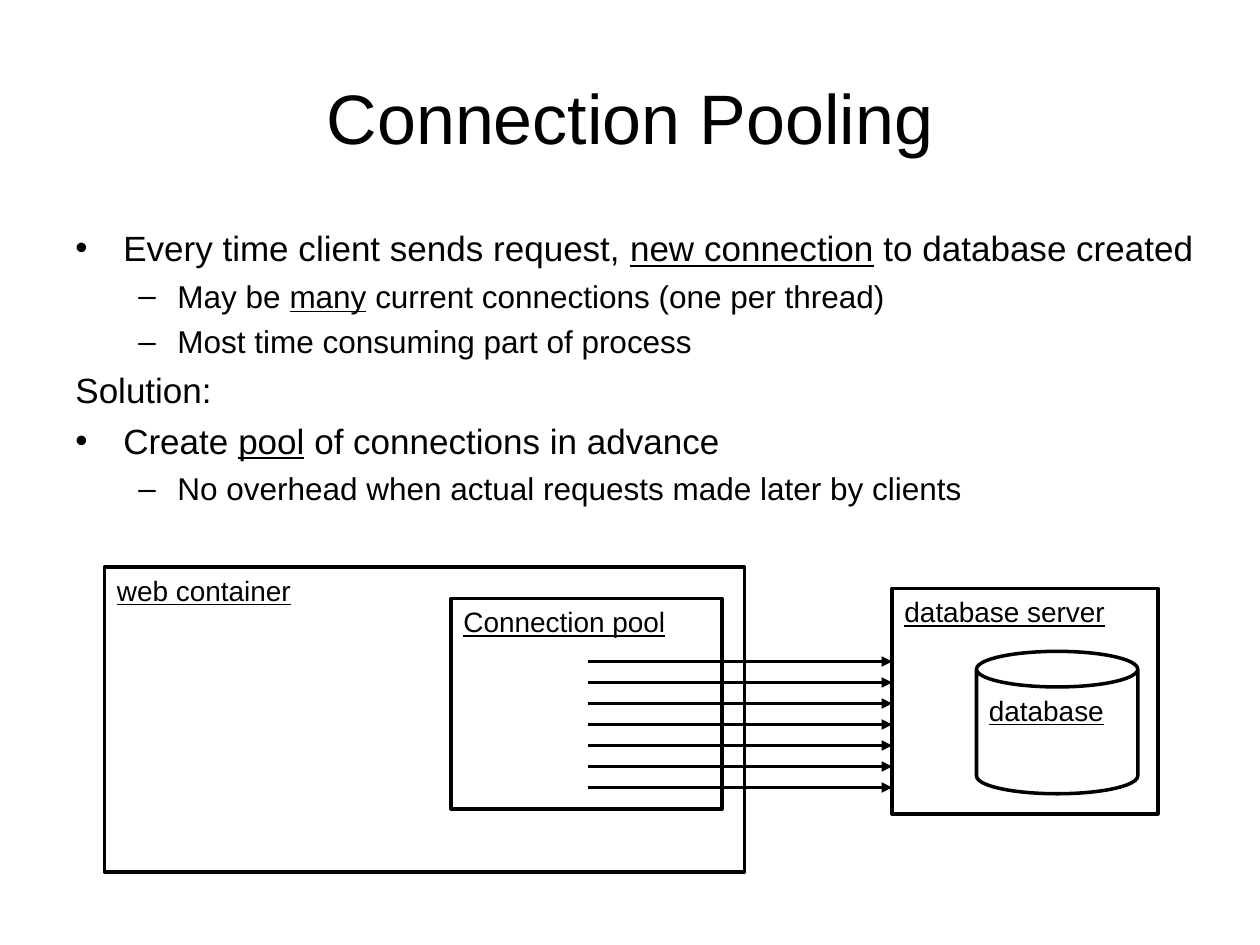
from dataclasses import dataclass

from lxml.etree import SubElement
from pptx import Presentation
from pptx.dml.color import RGBColor
from pptx.enum.shapes import MSO_CONNECTOR, MSO_SHAPE
from pptx.enum.text import MSO_ANCHOR, PP_ALIGN
from pptx.oxml.ns import qn
from pptx.util import Inches, Pt

COLORS = {"ink": "000000", "paper": "FFFFFF"}
FONT = "Arial"
LINE_WIDTH = Pt(2)


@dataclass(frozen=True)
class Point:
    """One line of the body; underscores enclose underlined words."""
    text: str
    level: int = 0
    bullet: str = "•"


@dataclass(frozen=True)
class Node:
    """A labelled outline in the diagram."""
    label: str
    kind: MSO_SHAPE
    left: float
    top: float
    width: float
    height: float


@dataclass(frozen=True)
class Level:
    size: float
    margin: float
    hanging: float
    space_before: float


LEVELS = [Level(20, 0.38, 0.38, 5), Level(18, 0.81, 0.31, 4.5)]

POINTS = [
    Point("Every time client sends request, _new connection_ to database created"),
    Point("May be _many_ current connections (one per thread)", 1, "–"),
    Point("Most time consuming part of process", 1, "–"),
    Point("Solution:", bullet=""),
    Point("Create _pool_ of connections in advance"),
    Point("No overhead when actual requests made later by clients", 1, "–"),
]

NODES = [
    Node("web container", MSO_SHAPE.RECTANGLE, 0.83, 4.5, 5.08, 2.42),
    Node("database", MSO_SHAPE.CAN, 7.75, 5.17, 1.28, 1.13),
    Node("Connection pool", MSO_SHAPE.RECTANGLE, 3.58, 4.75, 2.15, 1.67),
    Node("database server", MSO_SHAPE.RECTANGLE, 7.08, 4.67, 2.11, 1.79),
]

# Pooled connections: evenly spaced arrows from the pool to the server
ARROW_COUNT = 7
ARROW_LEFT, ARROW_RIGHT = 4.67, 7.08
ARROW_TOP, ARROW_BOTTOM = 5.25, 6.25


def color(name: str) -> RGBColor:
    return RGBColor.from_string(COLORS[name])


def write(paragraph, text: str, *, size: float, align=PP_ALIGN.LEFT,
          space_before: float = 0) -> None:
    """Fill a paragraph, underlining the parts between underscores."""
    paragraph.alignment = align
    paragraph.space_before = Pt(space_before)
    for index, part in enumerate(text.split("_")):
        if not part:
            continue
        span = paragraph.add_run()
        span.text = part
        span.font.name = FONT
        span.font.size = Pt(size)
        span.font.color.rgb = color("ink")
        span.font.underline = index % 2 == 1


def add_text_box(page, left: float, top: float, width: float, height: float, anchor):
    box = page.shapes.add_textbox(Inches(left), Inches(top), Inches(width), Inches(height))
    frame = box.text_frame
    frame.word_wrap = True
    frame.vertical_anchor = anchor
    return frame


def set_bullet(paragraph, level: Level, bullet: str) -> None:
    properties = paragraph._p.get_or_add_pPr()
    properties.set("marL", str(Inches(level.margin)))
    properties.set("indent", str(-Inches(level.hanging)))
    if bullet:
        bullet_color = SubElement(properties, qn("a:buClr"))
        SubElement(bullet_color, qn("a:srgbClr"), val=COLORS["ink"])
        SubElement(properties, qn("a:buFont"), typeface=FONT)
        SubElement(properties, qn("a:buChar"), char=bullet)


def add_points(page, points: list[Point]) -> None:
    frame = add_text_box(page, 0.5, 1.75, 9.25, 4.95, MSO_ANCHOR.TOP)
    for index, point in enumerate(points):
        paragraph = frame.add_paragraph() if index else frame.paragraphs[0]
        level = LEVELS[point.level]
        paragraph.level = point.level
        set_bullet(paragraph, level, point.bullet)
        write(paragraph, point.text, size=level.size,
              space_before=level.space_before if index else 0)


def add_node(page, node: Node) -> None:
    shape = page.shapes.add_shape(node.kind, Inches(node.left), Inches(node.top),
                                  Inches(node.width), Inches(node.height))
    shape.shadow.inherit = False
    shape.fill.background()
    shape.line.color.rgb = color("ink")
    shape.line.width = LINE_WIDTH
    frame = shape.text_frame
    frame.word_wrap = True
    frame.vertical_anchor = MSO_ANCHOR.TOP
    write(frame.paragraphs[0], f"_{node.label}_", size=16)


def add_arrow(page, y: float) -> None:
    arrow = page.shapes.add_connector(MSO_CONNECTOR.STRAIGHT, Inches(ARROW_LEFT), Inches(y),
                                      Inches(ARROW_RIGHT), Inches(y))
    arrow.line.color.rgb = color("ink")
    arrow.line.width = LINE_WIDTH
    SubElement(arrow.line._get_or_add_ln(), qn("a:tailEnd"), type="triangle")
    SubElement(arrow._element.spPr, qn("a:effectLst"))


def main() -> None:
    deck = Presentation()
    deck.slide_width, deck.slide_height = Inches(10), Inches(7.5)
    page = deck.slides.add_slide(deck.slide_layouts[6])
    page.background.fill.solid()
    page.background.fill.fore_color.rgb = color("paper")

    # Title and body
    title = add_text_box(page, 0.5, 0.3, 9, 1.25, MSO_ANCHOR.MIDDLE)
    write(title.paragraphs[0], "Connection Pooling", size=40, align=PP_ALIGN.CENTER)
    add_points(page, POINTS)

    # Diagram
    for node in NODES:
        add_node(page, node)
    gap = (ARROW_BOTTOM - ARROW_TOP) / (ARROW_COUNT - 1)
    for index in range(ARROW_COUNT):
        add_arrow(page, ARROW_TOP + index * gap)

    deck.save("out.pptx")


if __name__ == "__main__":
    main()
